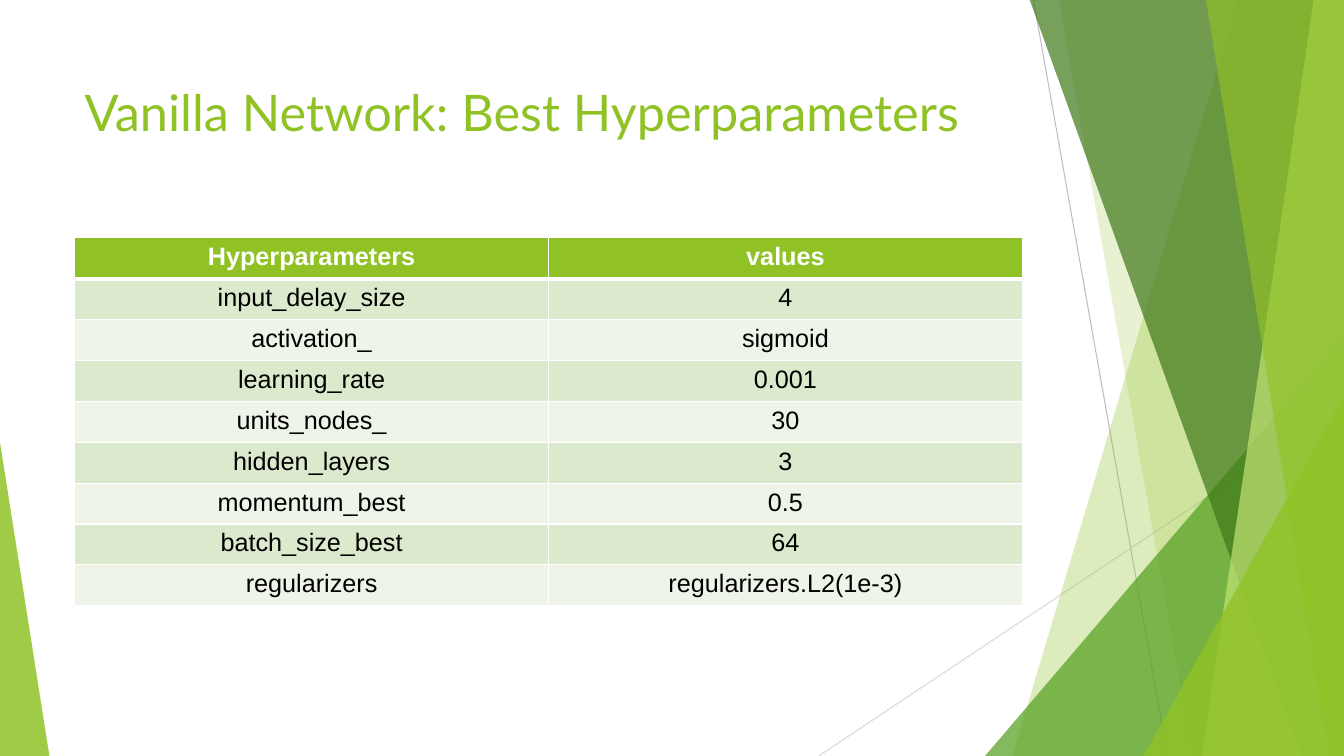
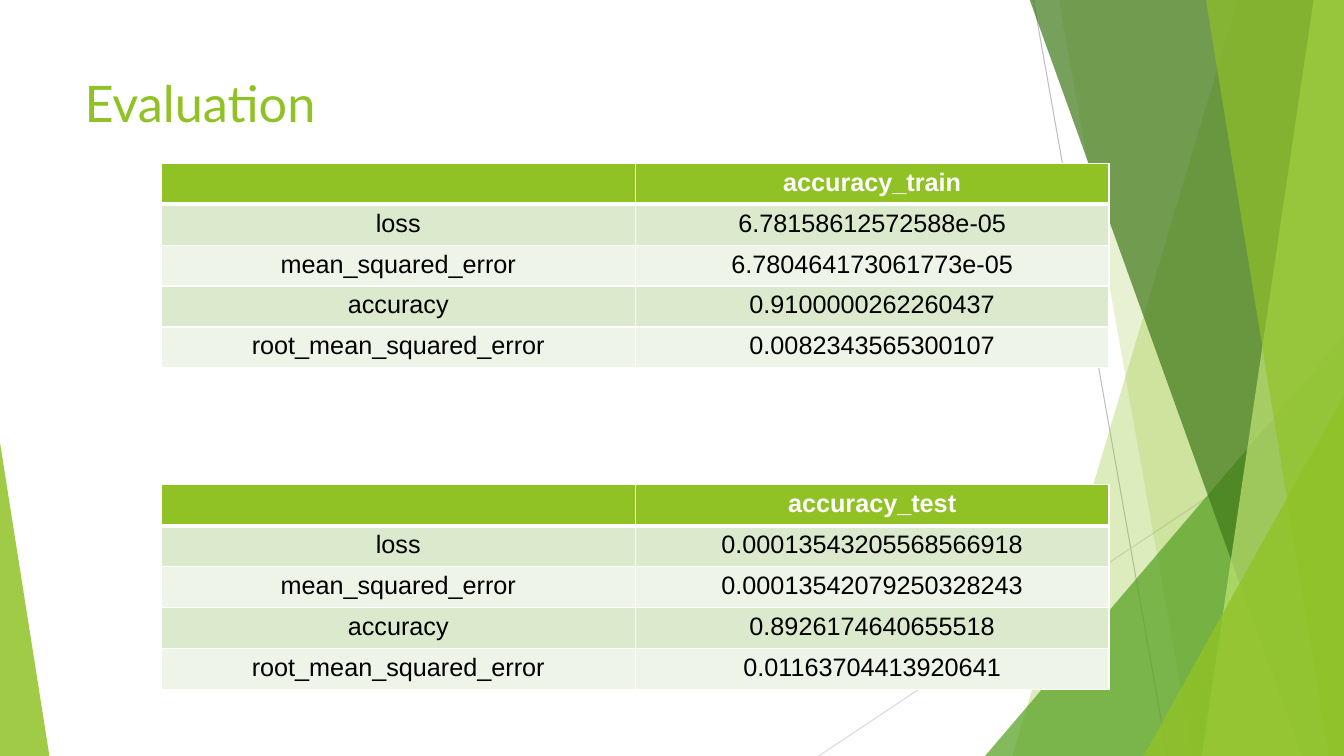
"""Build two slides of model settings and scores on a shared green backdrop."""
from dataclasses import dataclass

from lxml import etree
from pptx import Presentation
from pptx.dml.color import RGBColor
from pptx.enum.shapes import MSO_CONNECTOR, MSO_SHAPE
from pptx.enum.text import MSO_ANCHOR, PP_ALIGN
from pptx.oxml.ns import qn
from pptx.shapes.autoshape import Shape
from pptx.slide import Slide
from pptx.table import _Cell
from pptx.text.text import TextFrame
from pptx.util import Inches, Pt

LINE = MSO_CONNECTOR.STRAIGHT
PEAK = MSO_SHAPE.ISOSCELES_TRIANGLE
TOP = MSO_ANCHOR.TOP
LEFT = PP_ALIGN.LEFT
CENTER = PP_ALIGN.CENTER


@dataclass(frozen=True)
class Theme:
    """Colours, fonts and type sizes of the deck."""
    green: str = "90C226"
    leaf: str = "54A021"
    dark: str = "3F7819"
    lime: str = "C0E474"
    gray: str = "BFBFBF"
    pale: str = "D9D9D9"
    white: str = "FFFFFF"
    black: str = "000000"
    stripes: tuple[str, str] = ("DBE9CD", "EEF4E8")
    head_font: str = "Lato"
    body_font: str = "Arial"
    head_size: int = 36
    body_size: int = 18
    hair: float = 0.75
    thin: float = 1
    thick: float = 3


THEME = Theme()
WIDE, HIGH = 13.33, 7.5
EDGE = -0.01  # bands start just above the slide
MARGIN, SPAN = 0.74, 9.4


@dataclass(frozen=True)
class Ray:
    """A thin line between two points."""
    start: tuple[float, float]
    end: tuple[float, float]
    color: str


@dataclass(frozen=True)
class Band:
    """A full-height band from a slanted left side to the right edge."""
    top: float
    base: float
    color: str
    alpha: int


@dataclass(frozen=True)
class Wedge:
    """A right triangle standing on the bottom edge."""
    left: float
    top: float
    width: float
    tip: float
    color: str
    alpha: int


@dataclass(frozen=True)
class Grid:
    """A two-column table with a header row."""
    left: float
    top: float
    height: float
    rows: list[tuple[str, str]]


RAYS = [
    Ray((10.25, 0), (11.58, HIGH), THEME.gray),
    Ray((WIDE, 4.03), (8.12, HIGH), THEME.pale),
]
PANES = [
    Band(12.28, 10.04, THEME.green, 30),
    Band(10.5, 11.83, THEME.green, 20),
    Wedge(9.77, 3.33, 3.56, 1, THEME.leaf, 72),
    Band(10.21, 12.91, THEME.dark, 70),
    Band(13.03, 11.92, THEME.lime, 70),
    Band(11.96, 13.18, THEME.green, 65),
    Wedge(11.34, 3.93, 1.99, 1, THEME.green, 80),
    Wedge(0, 4.39, 0.49, 0, THEME.green, 85),
]


def rgb(color: str) -> RGBColor:
    """Turn a hex string into a colour."""
    return RGBColor.from_string(color)


def tint(shape: Shape, color: str, alpha: int) -> None:
    """Give a shape a see-through fill with no line or shadow."""
    shape.shadow.inherit = False
    shape.line.fill.background()
    shape.fill.solid()
    shape.fill.fore_color.rgb = rgb(color)
    tone = shape._element.spPr.find(qn("a:solidFill"))[0]
    etree.SubElement(tone, qn("a:alpha"), val=str(alpha * 1000))


def draw_ray(slide: Slide, ray: Ray) -> None:
    """Draw a thin line."""
    ends = [Inches(v) for v in (*ray.start, *ray.end)]
    line = slide.shapes.add_connector(LINE, *ends)
    line.line.color.rgb = rgb(ray.color)
    line.line.width = Pt(THEME.hair)
    etree.SubElement(line._element.spPr, qn("a:effectLst"))


def draw_band(slide: Slide, band: Band) -> None:
    """Draw a slanted band."""
    points = [(band.top, EDGE), (WIDE, EDGE), (WIDE, HIGH), (band.base, HIGH)]
    first, *rest = [(Inches(x), Inches(y)) for x, y in points]
    form = slide.shapes.build_freeform(*first)
    form.add_line_segments(rest, close=True)
    tint(form.convert_to_shape(), band.color, band.alpha)


def draw_wedge(slide: Slide, wedge: Wedge) -> None:
    """Draw a right triangle."""
    shape = slide.shapes.add_shape(
        PEAK, Inches(wedge.left), Inches(wedge.top),
        Inches(wedge.width), Inches(HIGH - wedge.top))
    shape.adjustments[0] = wedge.tip
    tint(shape, wedge.color, wedge.alpha)


def draw_back(slide: Slide) -> None:
    """Draw the backdrop that all slides share."""
    for ray in RAYS:
        draw_ray(slide, ray)
    for pane in PANES:
        if isinstance(pane, Band):
            draw_band(slide, pane)
        else:
            draw_wedge(slide, pane)


def set_text(frame: TextFrame, text: str, font: str, size: int, color: str,
             bold: bool = False, align: PP_ALIGN = LEFT) -> None:
    """Write one paragraph and format it."""
    frame.text = text
    para = frame.paragraphs[0]
    para.alignment = align
    for run in para.runs:
        run.font.name = font
        run.font.size = Pt(size)
        run.font.bold = bold
        run.font.color.rgb = rgb(color)


def draw_title(slide: Slide, text: str, top: float) -> None:
    """Place the slide title."""
    box = slide.shapes.add_textbox(
        Inches(MARGIN), Inches(top), Inches(SPAN), Inches(1.44))
    frame = box.text_frame
    frame.word_wrap = True
    frame.vertical_anchor = TOP
    set_text(frame, text, THEME.head_font, THEME.head_size, THEME.green)


def set_edges(cell: _Cell, row: int) -> None:
    """Rule a cell in white, with a thick rule below the header."""
    props = cell._tc.get_or_add_tcPr()
    thick = {0: "B", 1: "T"}.get(row)
    for side in "LRTB":
        width = THEME.thick if side == thick else THEME.thin
        line = etree.SubElement(props, qn(f"a:ln{side}"), w=str(Pt(width)))
        fill = etree.SubElement(line, qn("a:solidFill"))
        etree.SubElement(fill, qn("a:srgbClr"), val=THEME.white)


def draw_grid(slide: Slide, grid: Grid) -> None:
    """Draw a striped table."""
    table = slide.shapes.add_table(
        len(grid.rows), 2, Inches(grid.left), Inches(grid.top),
        Inches(SPAN), Inches(grid.height)).table
    for row, texts in enumerate(grid.rows):
        head = row == 0
        back = THEME.green if head else THEME.stripes[(row - 1) % 2]
        color = THEME.white if head else THEME.black
        for col, text in enumerate(texts):
            cell = table.cell(row, col)
            set_edges(cell, row)
            cell.fill.solid()
            cell.fill.fore_color.rgb = rgb(back)
            set_text(cell.text_frame, text, THEME.body_font,
                     THEME.body_size, color, head, CENTER)


def score_grid(top: float, name: str, scores: list[str]) -> Grid:
    """Lay out the scores of one data set."""
    labels = ["loss", "mean_squared_error", "accuracy",
              "root_mean_squared_error"]
    return Grid(1.6, top, 2.03, [("", name), *zip(labels, scores)])


SETTINGS = Grid(MARGIN, 2.36, 3.65, [
    ("Hyperparameters", "values"),
    ("input_delay_size", "4"),
    ("activation_", "sigmoid"),
    ("learning_rate", "0.001"),
    ("units_nodes_", "30"),
    ("hidden_layers", "3"),
    ("momentum_best", "0.5"),
    ("batch_size_best", "64"),
    ("regularizers", "regularizers.L2(1e-3)"),
])
TRAIN = score_grid(1.62, "accuracy_train", [
    "6.78158612572588e-05", "6.780464173061773e-05",
    "0.9100000262260437", "0.0082343565300107"])
TEST = score_grid(4.81, "accuracy_test", [
    "0.00013543205568566918", "0.00013542079250328243",
    "0.8926174640655518", "0.01163704413920641"])


def main() -> None:
    """Build and save the deck."""
    deck = Presentation()
    deck.slide_width, deck.slide_height = Inches(WIDE), Inches(HIGH)
    pages = [
        ("Vanilla Network: Best Hyperparameters", 0.76, [SETTINGS]),
        ("Evaluation", 0.67, [TRAIN, TEST]),
    ]
    for title, top, grids in pages:
        slide = deck.slides.add_slide(deck.slide_layouts[6])
        draw_back(slide)
        draw_title(slide, title, top)
        for grid in grids:
            draw_grid(slide, grid)
    deck.save("out.pptx")


main()
